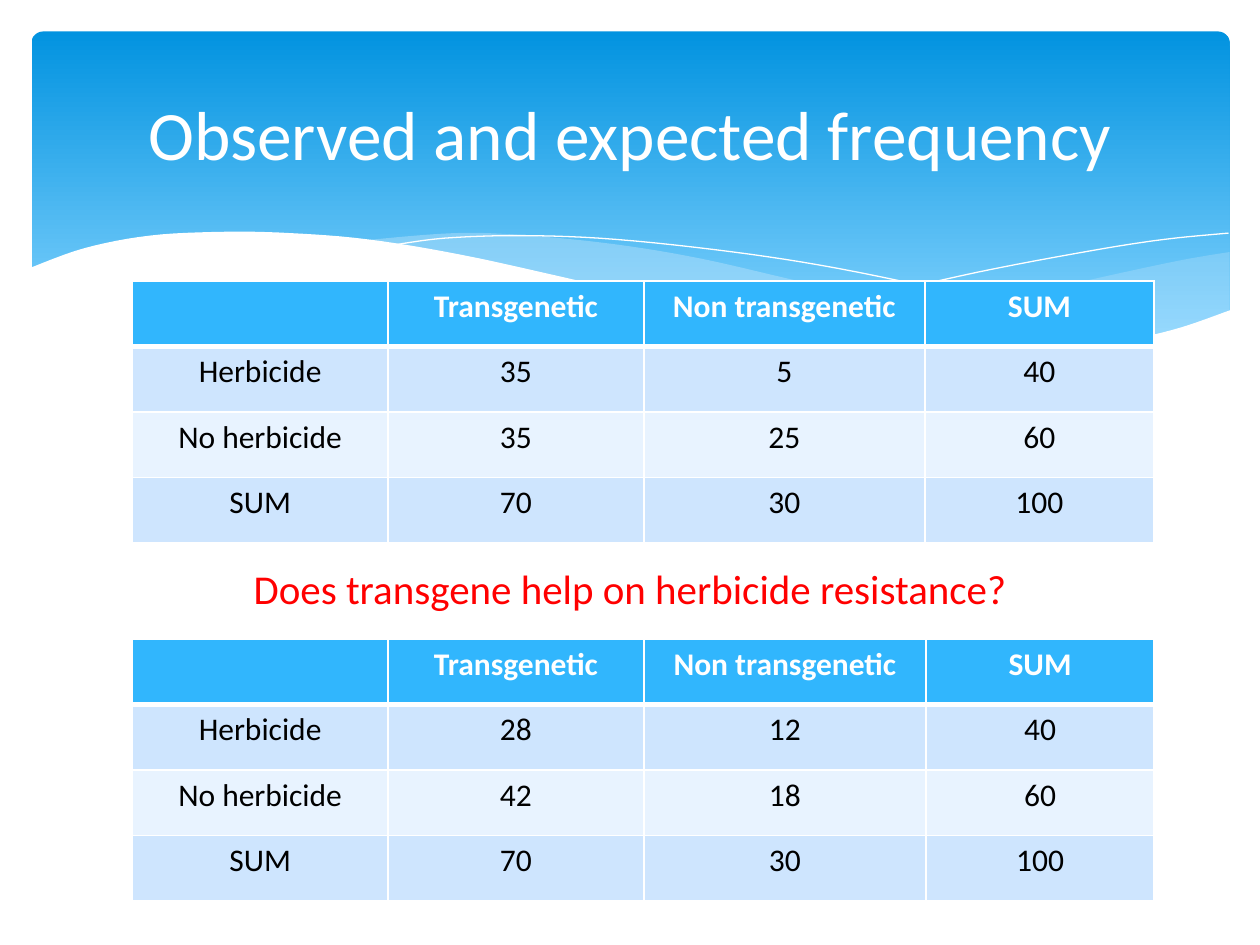
from dataclasses import dataclass

from lxml.etree import SubElement
from pptx import Presentation
from pptx.dml.color import RGBColor
from pptx.enum.shapes import MSO_SHAPE
from pptx.enum.text import MSO_ANCHOR, PP_ALIGN
from pptx.oxml.ns import qn
from pptx.util import Inches, Pt


@dataclass(frozen=True)
class Theme:
    font: str = "Calibri"
    title_size: float = 39.6
    question_size: float = 23.4
    table_size: float = 18
    white: str = "FFFFFF"
    black: str = "000000"
    red: str = "FF0000"
    banner_top: str = "0293E0"
    banner_bottom: str = "83D3FE"
    wave: str = "C6E7FC"
    header: str = "31B6FD"
    bands: tuple = ("CEE5FE", "E8F3FF")


THEME = Theme()

TITLE = "Observed and expected frequency"
QUESTION = "Does transgene help on herbicide resistance?"
HEADER = ["", "Transgenetic", "Non transgenetic", "SUM"]
OBSERVED = [
    HEADER,
    ["Herbicide", "35", "5", "40"],
    ["No herbicide", "35", "25", "60"],
    ["SUM", "70", "30", "100"],
]
EXPECTED = [
    HEADER,
    ["Herbicide", "28", "12", "40"],
    ["No herbicide", "42", "18", "60"],
    ["SUM", "70", "30", "100"],
]
TABLES = [  # top, column widths, rows
    (2.23, (2.03, 2.03, 2.23, 1.82), OBSERVED),
    (5.07, (2.03, 2.03, 2.24, 1.81), EXPECTED),
]
TABLE_LEFT, ROW_HEIGHT = 1.05, 0.52

# Each filled wave is a list of smooth edges joined by straight lines.
RIGHT_WAVE = [
    [(9.76, 2), (9.35, 2.07), (8.61, 2.23), (7.53, 2.48), (6.61, 2.65)],
    [(6.61, 2.65), (7.05, 2.71), (7.57, 2.76), (8.14, 2.78), (8.63, 2.75),
     (9.13, 2.67), (9.49, 2.57), (9.76, 2.47)],
]
MIDDLE_WAVE = [
    [(8.93, 2.73), (8.07, 2.6), (7.06, 2.4), (6.29, 2.22), (5.55, 2.05),
     (4.89, 1.94), (4.2, 1.87), (3.61, 1.85), (2.86, 1.91)],
    [(2.86, 1.91), (3.62, 2.03), (4.49, 2.22), (5.3, 2.4), (6.01, 2.55),
     (6.8, 2.68), (7.48, 2.76), (8.18, 2.78), (8.93, 2.73)],
]
WHITE_WAVE = [
    [(9.77, 2.46), (9.3, 2.62), (8.75, 2.73), (8.09, 2.77), (7.26, 2.72),
     (6.48, 2.62), (5.55, 2.45), (4.47, 2.2), (3.65, 2.02), (2.92, 1.9),
     (2.3, 1.85), (1.77, 1.84), (1.19, 1.87), (0.67, 1.97), (0.23, 2.13)],
    [(0.23, 3.29), (9.77, 3.29)],
]
WAVE_LINES = [
    [(3.09, 1.95), (3.53, 1.89), (4.16, 1.87), (4.89, 1.9), (5.82, 2),
     (6.65, 2.13), (7.6, 2.33), (8.31, 2.51), (9.07, 2.72)],
    [(6.13, 2.57), (6.95, 2.35), (7.76, 2.16), (8.66, 1.99), (9.24, 1.9),
     (9.75, 1.85)],
]


def color(value):
    return RGBColor.from_string(value)


def smooth(points, steps=6):
    """Catmull-Rom curve through the points."""
    padded = [points[0], *points, points[-1]]
    curve = [points[0]]
    for a, b, c, d in zip(padded, padded[1:], padded[2:], padded[3:]):
        for step in range(1, steps + 1):
            t = step / steps
            curve.append(tuple(
                0.5 * (2 * q + (r - p) * t + (2 * p - 5 * q + 4 * r - s) * t**2
                       + (3 * q - p - 3 * r + s) * t**3)
                for p, q, r, s in zip(a, b, c, d)))
    return curve


def draw_path(slide, points, close):
    start, *rest = [(Inches(x), Inches(y)) for x, y in points]
    builder = slide.shapes.build_freeform(*start)
    builder.add_line_segments(rest, close=close)
    shape = builder.convert_to_shape()
    shape.shadow.inherit = False
    return shape


def add_wave(slide, edges, fill, opacity=100):
    points = [point for edge in edges
              for point in (smooth(edge) if len(edge) > 2 else edge)]
    shape = draw_path(slide, points, close=True)
    shape.fill.solid()
    shape.fill.fore_color.rgb = color(fill)
    shape.line.fill.background()
    if opacity < 100:
        fill_color = shape.element.spPr.find(qn("a:solidFill"))[0]
        SubElement(fill_color, qn("a:alpha"), val=str(opacity * 1000))


def add_wave_line(slide, points):
    shape = draw_path(slide, smooth(points), close=False)
    shape.fill.background()
    shape.line.color.rgb = color(THEME.white)
    shape.line.width = Pt(0)


def add_banner(slide):
    banner = slide.shapes.add_shape(
        MSO_SHAPE.ROUNDED_RECTANGLE,
        Inches(0.25), Inches(0.25), Inches(9.51), Inches(2.7))
    banner.adjustments[0] = 0.034
    banner.shadow.inherit = False
    banner.line.fill.background()
    banner.fill.gradient()
    banner.fill.gradient_angle = 270
    stops = ((0, THEME.banner_top), (0.9, THEME.banner_bottom))
    for stop, (position, value) in zip(banner.fill.gradient_stops, stops):
        stop.position = position
        stop.color.rgb = color(value)


def write(text_frame, text, size, value, bold=False):
    text_frame.text = text
    paragraph = text_frame.paragraphs[0]
    paragraph.alignment = PP_ALIGN.CENTER
    for font in [paragraph.font, *(run.font for run in paragraph.runs)]:
        font.name, font.size, font.bold = THEME.font, Pt(size), bold
        font.color.rgb = color(value)


def add_text(slide, box, text, size, value):
    frame = slide.shapes.add_textbox(*map(Inches, box)).text_frame
    frame.word_wrap = True
    frame.vertical_anchor = MSO_ANCHOR.MIDDLE
    write(frame, text, size, value)


def set_borders(cell, row):
    """White 1 pt borders, with a 3 pt rule under the header row."""
    widths = {"L": 1, "R": 1, "T": 3 if row == 1 else 1, "B": 3 if row == 0 else 1}
    properties = cell._tc.get_or_add_tcPr()
    for side, width in widths.items():
        line = SubElement(properties, qn(f"a:ln{side}"), w=str(Pt(width)))
        SubElement(SubElement(line, qn("a:solidFill")), qn("a:srgbClr"), val=THEME.white)


def add_frequency_table(slide, top, widths, rows):
    table = slide.shapes.add_table(
        len(rows), len(widths), Inches(TABLE_LEFT), Inches(top),
        Inches(sum(widths)), Inches(ROW_HEIGHT * len(rows))).table
    for column, width in zip(table.columns, widths):
        column.width = Inches(width)
    for row, texts in enumerate(rows):
        table.rows[row].height = Inches(ROW_HEIGHT)
        is_header = row == 0
        fill = THEME.header if is_header else THEME.bands[(row - 1) % 2]
        for column, text in enumerate(texts):
            cell = table.cell(row, column)
            set_borders(cell, row)
            cell.fill.solid()
            cell.fill.fore_color.rgb = color(fill)
            write(cell.text_frame, text, THEME.table_size,
                  THEME.white if is_header else THEME.black, is_header)


def main():
    presentation = Presentation()
    presentation.slide_width, presentation.slide_height = Inches(10), Inches(7.5)
    slide = presentation.slides.add_slide(presentation.slide_layouts[6])
    add_banner(slide)
    add_wave(slide, RIGHT_WAVE, THEME.wave, 29)
    add_wave(slide, MIDDLE_WAVE, THEME.wave, 40)
    for points in WAVE_LINES:
        add_wave_line(slide, points)
    add_wave(slide, WHITE_WAVE, THEME.white)
    add_text(slide, (0.5, 0.37, 9, 1.37), TITLE, THEME.title_size, THEME.white)
    for top, widths, rows in TABLES:
        add_frequency_table(slide, top, widths, rows)
    add_text(slide, (0.66, 4.31, 8.68, 0.72), QUESTION, THEME.question_size, THEME.red)
    presentation.save("out.pptx")


if __name__ == "__main__":
    main()
